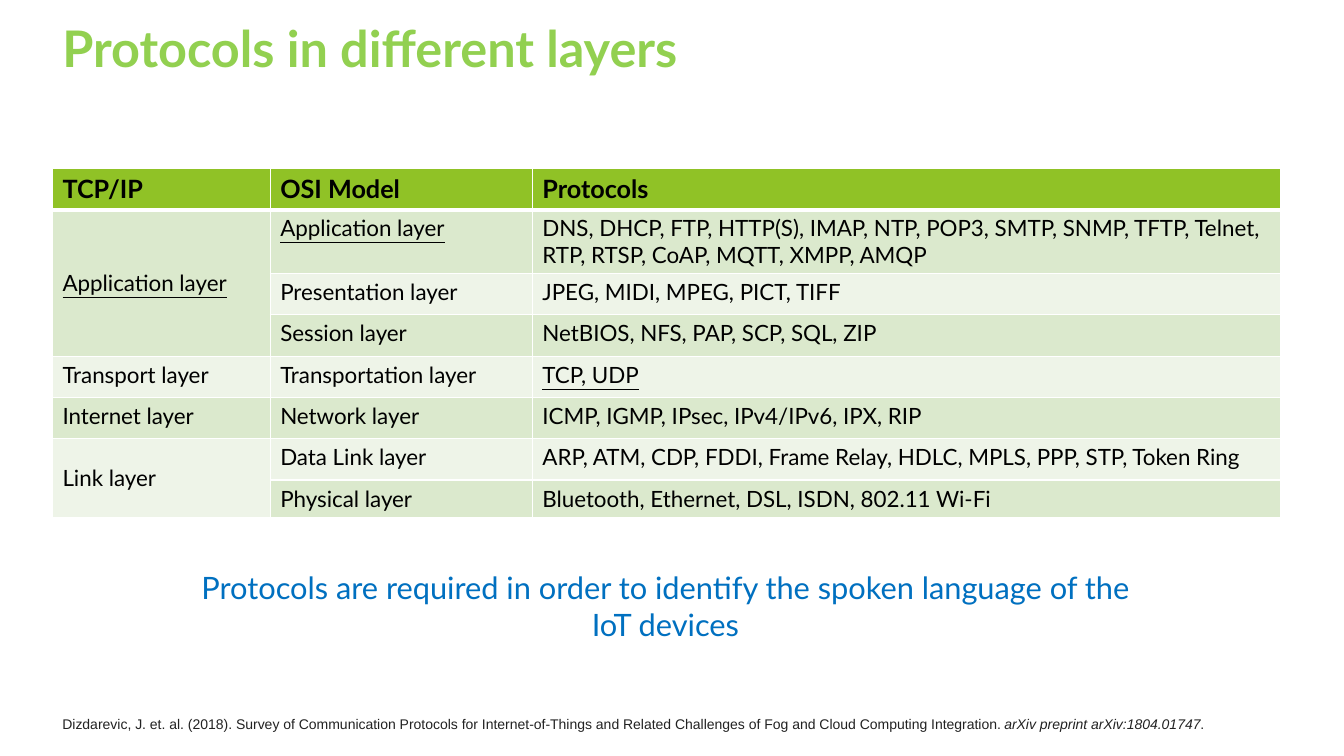
"""Build a slide that lists network protocols by TCP/IP and OSI layer."""
from lxml import etree
from pptx import Presentation
from pptx.dml.color import RGBColor
from pptx.enum import text
from pptx.oxml import ns
from pptx.util import Inches, Pt

COLORS = {"title": "92D050", "header": "90C226", "odd": "DBE9CD", "even": "EEF4E8",
          "border": "FFFFFF", "cell": "000000", "message": "0070C0", "citation": "222222"}
TITLE = "Protocols in different layers"
MESSAGE = "Protocols are required in order to identify the spoken language of the IoT devices"
CITATION = [
    ("Dizdarevic, J. et. al. (2018). Survey of Communication Protocols for Internet-of-Things "
     "and Related Challenges of Fog and Cloud Computing Integration. ", False),
    ("arXiv preprint arXiv:1804.01747", True),
    (".", False),
]
ROWS = [
    ("TCP/IP", "OSI Model", "Protocols"),
    ("Application layer", "Application layer",
     "DNS, DHCP, FTP, HTTP(S), IMAP, NTP, POP3, SMTP, SNMP, TFTP, Telnet, "
     "RTP, RTSP, CoAP, MQTT, XMPP, AMQP"),
    ("", "Presentation layer", "JPEG, MIDI, MPEG, PICT, TIFF"),
    ("", "Session layer", "NetBIOS, NFS, PAP, SCP, SQL, ZIP"),
    ("Transport layer", "Transportation layer", "TCP, UDP"),
    ("Internet layer", "Network layer", "ICMP, IGMP, IPsec, IPv4/IPv6, IPX, RIP"),
    ("Link layer", "Data Link layer",
     "ARP, ATM, CDP, FDDI, Frame Relay, HDLC, MPLS, PPP, STP, Token Ring"),
    ("", "Physical layer", "Bluetooth, Ethernet, DSL, ISDN, 802.11 Wi-Fi"),
]
UNDERLINED = {"Application layer", "TCP, UDP"}
MERGES = [(1, 3), (6, 7)]
COL_WIDTHS = [2.16, 2.6, 7.42]
ROW_HEIGHTS = [0.41, 0.63] + [0.41] * 5 + [0.37]
LEFT, WIDTH = 0.52, 12.19


def style(font, size, color, name="Lato", bold=False):
    font.name, font.size, font.bold = name, Pt(size), bold
    font.color.rgb = RGBColor.from_string(COLORS[color])


def add_text(slide, box, runs, align=text.PP_ALIGN.LEFT, **look):
    tf = slide.shapes.add_textbox(*map(Inches, box)).text_frame
    tf.word_wrap = True
    p = tf.paragraphs[0]
    p.alignment = align
    for words, italic in runs:
        r = p.add_run()
        r.text = words
        if italic:
            r.font.italic = True
        style(r.font, **look)


def add_borders(cell, widths):
    tc_pr = cell._tc.get_or_add_tcPr()
    for side, width in zip("LRTB", widths):
        ln = etree.SubElement(tc_pr, ns.qn(f"a:ln{side}"), w=str(Pt(width)))
        fill = etree.SubElement(ln, ns.qn("a:solidFill"))
        etree.SubElement(fill, ns.qn("a:srgbClr"), val=COLORS["border"])


def add_layer_table(slide):
    box = (LEFT, 1.67, WIDTH, sum(ROW_HEIGHTS))
    table = slide.shapes.add_table(len(ROWS), len(COL_WIDTHS), *map(Inches, box)).table
    for col, width in zip(table.columns, COL_WIDTHS):
        col.width = Inches(width)
    for i, (labels, height) in enumerate(zip(ROWS, ROW_HEIGHTS)):
        table.rows[i].height = Inches(height)
        for j, label in enumerate(labels):
            cell = table.cell(i, j)
            add_borders(cell, (1, 1, 3 if i == 1 else 1, 3 if i == 0 else 1))
            band = "header" if i == 0 else "odd" if i % 2 else "even"
            cell.fill.solid()
            cell.fill.fore_color.rgb = RGBColor.from_string(COLORS[band])
            p = cell.text_frame.paragraphs[0]
            p.text = label
            style(p.font, 16 if i else 18, "cell", bold=i == 0)
            p.font.underline = label in UNDERLINED
    for first, last in MERGES:
        cell = table.cell(first, 0)
        cell.merge(table.cell(last, 0))
        cell.vertical_anchor = text.MSO_ANCHOR.MIDDLE


def main():
    prs = Presentation()
    prs.slide_width, prs.slide_height = Inches(13.33), Inches(7.5)
    slide = prs.slides.add_slide(prs.slide_layouts[6])
    add_text(slide, (LEFT, 0.12, 9.4, 0.87), [(TITLE, False)],
             size=36, color="title", bold=True)
    add_layer_table(slide)
    add_text(slide, (LEFT, 7.05, WIDTH, 0.27), CITATION,
             size=10, color="citation", name="Arial")
    add_text(slide, (1.87, 5.59, 9.46, 0.84), [(MESSAGE, False)],
             text.PP_ALIGN.CENTER, size=22, color="message")
    prs.save("out.pptx")


if __name__ == "__main__":
    main()
